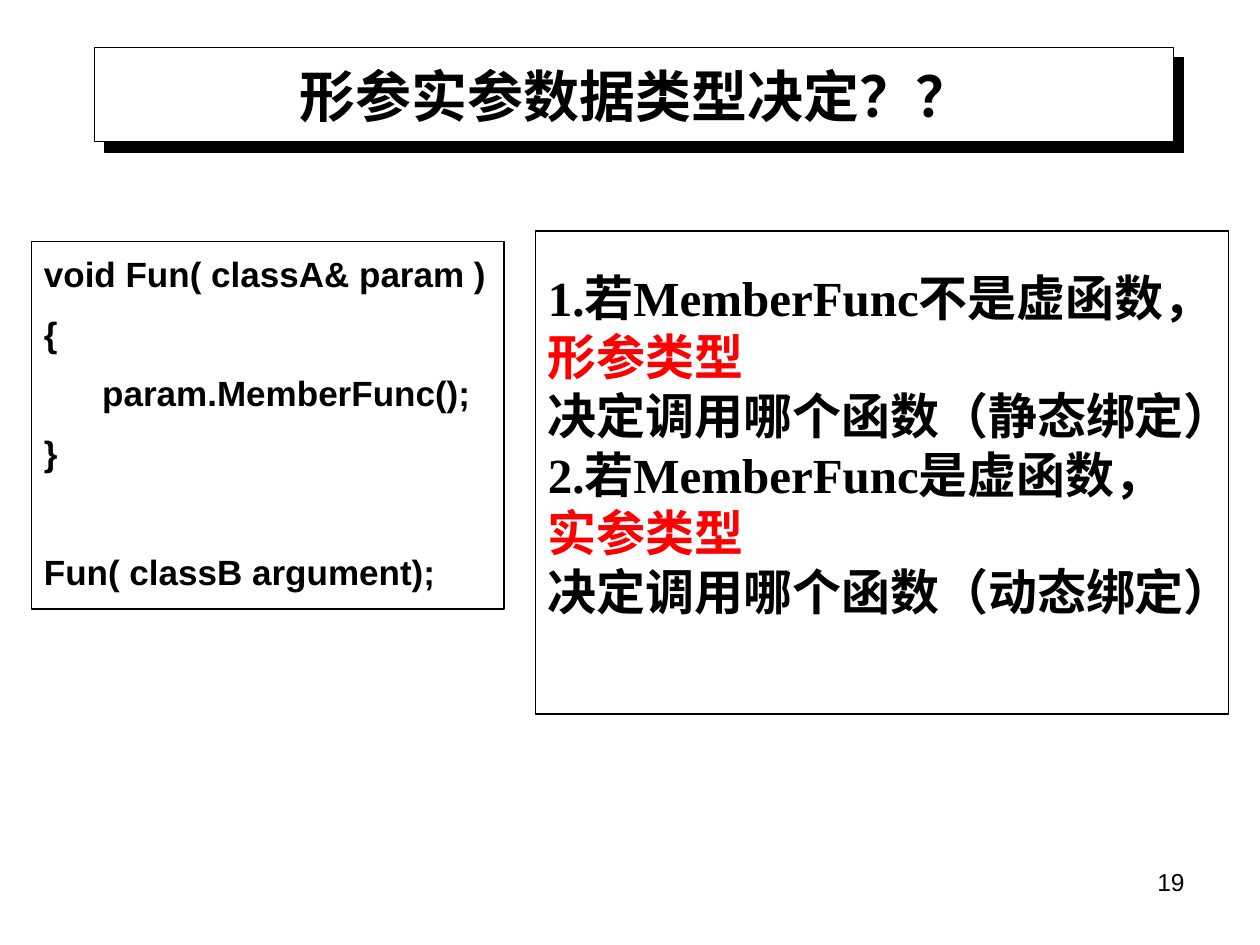
from lxml import etree
from pptx import Presentation
from pptx import util as u
from pptx.dml import color
from pptx.enum import shapes, text
from pptx.oxml import ns

COLORS = {"black": "000000", "white": "FFFFFF", "red": "FF0000"}
TITLE = "形参实参数据类型决定？？"
CODE = [
    ("void Fun( classA& param )", 0),
    ("{", 12.5),
    ("      param.MemberFunc();", 12.5),
    ("}", 12.5),
    ("Fun( classB argument);", 46.5),
]
RULES = [
    ("1.若MemberFunc不是虚函数，", "形参类型", "决定调用哪个函数（静态绑定）"),
    ("2.若MemberFunc是虚函数，", "实参类型", "决定调用哪个函数（动态绑定）"),
]
PAGE_NUMBER = "19"
SHADOW_OFFSET = 8.5


def rgb(name):
    return color.RGBColor.from_string(COLORS[name])


def add_box(slide, bounds, line_width, fill=None):
    box = slide.shapes.add_shape(shapes.MSO_SHAPE.RECTANGLE, *map(u.Pt, bounds))
    box.shadow.inherit = False
    if fill:
        box.fill.solid()
        box.fill.fore_color.rgb = rgb(fill)
    else:
        box.fill.background()
    box.line.color.rgb = rgb("black")
    box.line.width = u.Pt(line_width)
    return box


def add_hard_shadow(shape):
    effects = shape._element.spPr.find(ns.qn("a:effectLst"))
    shadow = etree.SubElement(effects, ns.qn("a:outerShdw"), blurRad="0",
                              dist=str(u.Pt(SHADOW_OFFSET)), dir=str(45 * 60000),
                              algn="ctr", rotWithShape="0")
    etree.SubElement(shadow, ns.qn("a:srgbClr"), val=COLORS["black"])


def write_lines(shape, lines, font, size, bold=True, align="LEFT", anchor="MIDDLE",
                wrap=False, spacing=None):
    frame = shape.text_frame
    frame.word_wrap = wrap
    frame.vertical_anchor = text.MSO_ANCHOR[anchor]
    frame.text = "\n".join(words for words, _, _ in lines)
    for paragraph, (_, color_name, gap) in zip(frame.paragraphs, lines):
        paragraph.alignment = text.PP_ALIGN[align]
        if spacing:
            paragraph.line_spacing = spacing
        if gap:
            paragraph.space_before = u.Pt(gap)
        for run in paragraph.runs:
            run.font.name = font
            run.font.size = u.Pt(size)
            run.font.bold = bold
            run.font.color.rgb = rgb(color_name)


def main():
    presentation = Presentation()
    presentation.slide_width, presentation.slide_height = u.Pt(720), u.Pt(540)
    slide = presentation.slides.add_slide(presentation.slide_layouts[6])

    add_hard_shadow(add_box(slide, (54, 27, 616.5, 54), 0.75, "white"))

    number = slide.shapes.add_textbox(*map(u.Pt, (516, 492, 168, 37.5)))
    write_lines(number, [(PAGE_NUMBER, "black", 0)], "Arial", 14, bold=False,
                align="RIGHT", anchor="TOP", wrap=True)

    title = slide.shapes.add_textbox(*map(u.Pt, (60, 31.5, 607, 45.5)))
    write_lines(title, [(TITLE, "black", 0)], "Arial", 32, align="CENTER", wrap=True)

    code_box = add_box(slide, (18, 138, 270, 210), 1)
    write_lines(code_box, [(line, "black", gap) for line, gap in CODE],
                "Arial", 20, spacing=0.9)

    rules_box = add_box(slide, (306, 132, 396, 276), 1)
    rules_box.text_frame.margin_bottom = u.Pt(36)
    rule_colors = ("black", "red", "black")
    rule_lines = [(line, name, 0) for rule in RULES for line, name in zip(rule, rule_colors)]
    write_lines(rules_box, rule_lines, "Times New Roman", 28)

    presentation.save("out.pptx")


if __name__ == "__main__":
    main()
